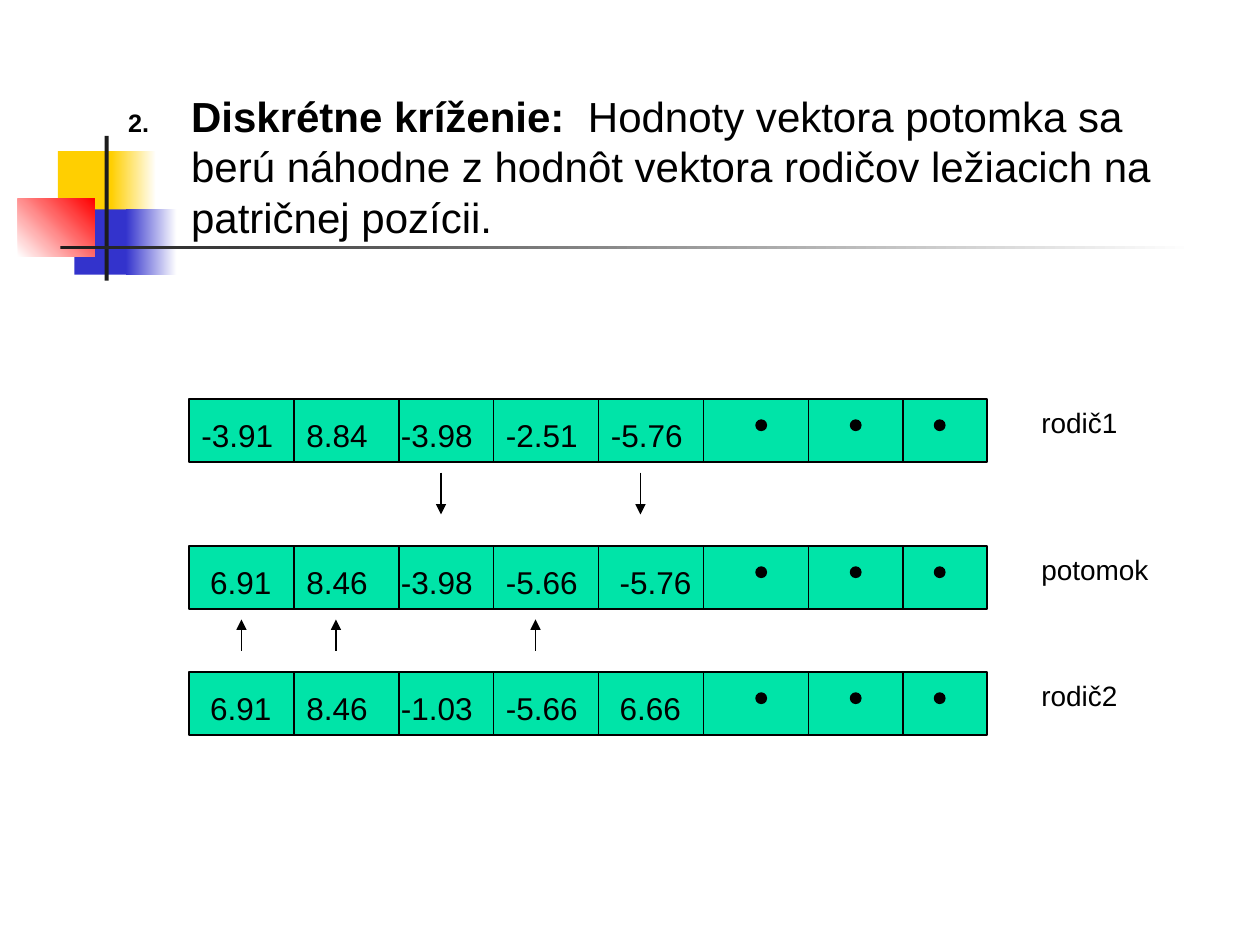
from dataclasses import dataclass

from lxml import etree
from pptx import Presentation
from pptx.dml.color import RGBColor
from pptx.enum.shapes import MSO_CONNECTOR, MSO_SHAPE
from pptx.enum.text import MSO_ANCHOR, MSO_AUTO_SIZE, PP_ALIGN
from pptx.oxml.ns import qn
from pptx.slide import Slide
from pptx.util import Cm, Pt

RECTANGLE, OVAL = MSO_SHAPE.RECTANGLE, MSO_SHAPE.OVAL
STRAIGHT = MSO_CONNECTOR.STRAIGHT
TOP, LEFT, NO_AUTOFIT = MSO_ANCHOR.TOP, PP_ALIGN.LEFT, MSO_AUTO_SIZE.NONE

COLORS = {
    "white": "FFFFFF",
    "black": "000000",
    "cell": "00E4A8",
    "yellow": "FFCF01",
    "blue": "3333CC",
    "red": "FF0000",
    "dark": "1C1C1C",
}
FONT = "Arial"

# The diagram lies on a grid of twelve units to the inch.
UNIT_CM = 2.54 / 12
CELL_EDGES = (18, 28, 38, 47, 57, 67, 77, 86, 94)
VALUE_LEFTS = (18, 28, 37, 47, 57)
DOT_LEFTS = (72, 81, 89)
ROW_HEIGHT = 6
LABEL_LEFT = 98


@dataclass(frozen=True)
class Ornament:
    """A master decoration in centimetres; fade_to makes it a gradient."""
    left: float
    top: float
    width: float
    height: float
    color: str
    fade_to: str = ""
    angle: int = 0


@dataclass(frozen=True)
class Vector:
    label: str
    top: int
    values: tuple[str, ...]


@dataclass(frozen=True)
class ArrowRow:
    start: int
    end: int
    columns: tuple[int, ...]


ORNAMENTS = (
    Ornament(1.17, 3.05, 1.22, 1.32, "yellow"),
    Ornament(2.24, 3.05, 0.91, 1.32, "yellow", "white"),
    Ornament(1.5, 4.22, 1.17, 1.32, "blue"),
    Ornament(2.54, 4.22, 1.02, 1.32, "blue", "white"),
    Ornament(0.36, 4.01, 1.55, 1.17, "white", "red", 45),
    Ornament(2.11, 2.74, 0.08, 2.92, "dark"),
    Ornament(1.22, 4.95, 22.86, 0.08, "dark", "white"),
)
VECTORS = (
    Vector("rodič1", 38, ("-3.91", "8.84", "-3.98", "-2.51", "-5.76")),
    Vector("potomok", 52, (" 6.91", "8.46", "-3.98", "-5.66", " -5.76")),
    Vector("rodič2", 64, (" 6.91", "8.46", "-1.03", "-5.66", " 6.66")),
)
ARROW_ROWS = (
    ArrowRow(45, 49, (42, 61)),
    ArrowRow(62, 59, (23, 32, 51)),
)


def rgb(name: str) -> RGBColor:
    return RGBColor.from_string(COLORS[name])


def grid(units: float) -> Cm:
    return Cm(units * UNIT_CM)


def set_format(target, values: dict) -> None:
    for name, value in values.items():
        setattr(target, name, value)


def add_run(para, text: str, size: float, bold: bool = False) -> None:
    run = para.add_run()
    run.text = text
    set_format(run.font, {"name": FONT, "size": Pt(size), "bold": bold})
    run.font.color.rgb = rgb("black")


def add_ornament(slide: Slide, item: Ornament) -> None:
    lengths = (item.left, item.top, item.width, item.height)
    shape = slide.shapes.add_shape(RECTANGLE, *map(Cm, lengths))
    shape.shadow.inherit = False
    shape.line.fill.background()
    if not item.fade_to:
        shape.fill.solid()
        shape.fill.fore_color.rgb = rgb(item.color)
        return
    shape.fill.gradient()
    shape.fill.gradient_angle = item.angle
    for stop, name in zip(shape.fill.gradient_stops, (item.color, item.fade_to)):
        stop.color.rgb = rgb(name)


def add_outlined(slide: Slide, kind, left: float, top: float,
                 width: float, height: float, color: str) -> None:
    shape = slide.shapes.add_shape(kind, *map(grid, (left, top, width, height)))
    shape.shadow.inherit = False
    shape.fill.solid()
    shape.fill.fore_color.rgb = rgb(color)
    shape.line.color.rgb = rgb("black")
    shape.line.width = Pt(0.75)


def add_vertical(slide: Slide, x: float, start: float, end: float,
                 arrow: bool = False) -> None:
    line = slide.shapes.add_connector(STRAIGHT, *map(grid, (x, start, x, end)))
    line.line.color.rgb = rgb("black")
    line.line.width = Pt(0.75)
    properties = line._element.spPr
    etree.SubElement(properties, qn("a:effectLst"))
    if arrow:
        outline = properties.find(qn("a:ln"))
        etree.SubElement(outline, qn("a:tailEnd"), type="triangle")


def add_text(slide: Slide, text: str, left: float, top: float,
             width: float, height: float, size: float) -> None:
    box = slide.shapes.add_textbox(*map(grid, (left, top, width, height)))
    box.text_frame.word_wrap = True
    add_run(box.text_frame.paragraphs[0], text, size)


def add_vector(slide: Slide, vector: Vector) -> None:
    left, right = CELL_EDGES[0], CELL_EDGES[-1]
    add_outlined(slide, RECTANGLE, left, vector.top, right - left, ROW_HEIGHT, "cell")
    for edge in CELL_EDGES[1:-1]:
        add_vertical(slide, edge, vector.top, vector.top + ROW_HEIGHT)
    for value_left, value in zip(VALUE_LEFTS, vector.values):
        add_text(slide, value, value_left, vector.top + 1, 11, 4.8, 18)
    for dot_left in DOT_LEFTS:
        add_outlined(slide, OVAL, dot_left, vector.top + 2, 1, 1, "black")
    add_text(slide, vector.label, LABEL_LEFT, vector.top, 18, 4.4, 16)


def number_paragraph(para, start: int) -> None:
    properties = para._p.get_or_add_pPr()
    properties.set("marL", str(Cm(1.27)))
    properties.set("indent", str(Cm(-1.27)))
    color = etree.SubElement(properties, qn("a:buClr"))
    etree.SubElement(color, qn("a:srgbClr"), val=COLORS["black"])
    etree.SubElement(properties, qn("a:buSzPct"), val="60000")
    etree.SubElement(properties, qn("a:buFont"), typeface=FONT)
    etree.SubElement(properties, qn("a:buAutoNum"), type="arabicPeriod",
                     startAt=str(start))


def fill_body(slide: Slide) -> None:
    body = slide.placeholders[1]
    set_format(body, {"left": grid(11), "top": grid(8),
                      "width": grid(100), "height": grid(23)})
    set_format(body.text_frame, {"word_wrap": True, "vertical_anchor": TOP,
                                 "auto_size": NO_AUTOFIT})
    para = body.text_frame.paragraphs[0]
    set_format(para, {"alignment": LEFT, "space_before": Pt(15)})
    number_paragraph(para, 2)
    add_run(para, "Diskrétne kríženie:  ", 24, bold=True)
    add_run(para, "Hodnoty vektora potomka sa berú náhodne z hodnôt vektora "
                  "rodičov ležiacich na patričnej pozícii.", 24)
    slide.shapes._spTree.append(body._element)  # in front of the ornaments


def main() -> None:
    deck = Presentation()
    set_format(deck, {"slide_width": Cm(25.4), "slide_height": Cm(19.05)})
    slide = deck.slides.add_slide(deck.slide_layouts[1])
    title = slide.shapes.title._element
    title.getparent().remove(title)
    for ornament in ORNAMENTS:
        add_ornament(slide, ornament)
    fill_body(slide)
    for vector in VECTORS:
        add_vector(slide, vector)
    for row in ARROW_ROWS:
        for column in row.columns:
            add_vertical(slide, column, row.start, row.end, arrow=True)
    deck.save("out.pptx")


if __name__ == "__main__":
    main()
